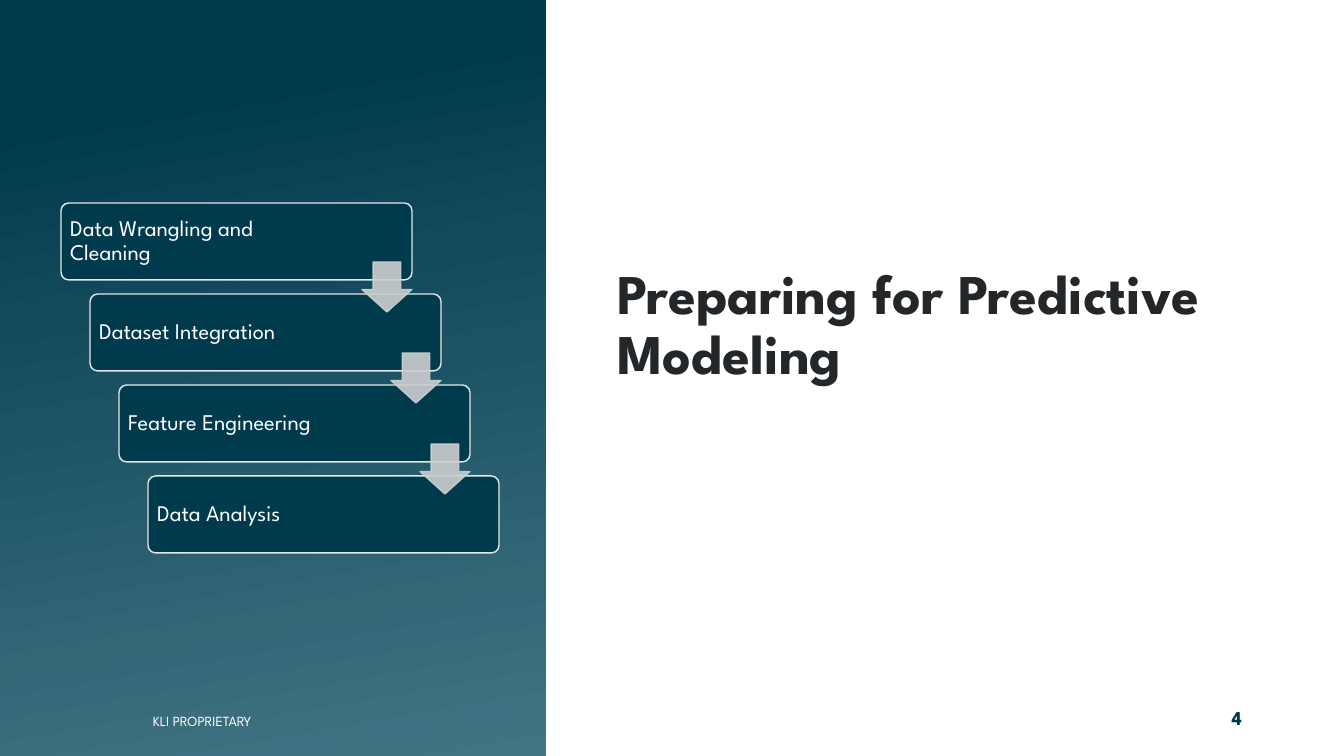
from lxml import etree
from pptx import Presentation
from pptx.dml.color import RGBColor
from pptx.enum.shapes import MSO_SHAPE
from pptx.enum.text import MSO_ANCHOR, MSO_AUTO_SIZE, PP_ALIGN
from pptx.oxml.ns import qn
from pptx.util import Pt

ROUNDED, ARROW, RECT = MSO_SHAPE.ROUNDED_RECTANGLE, MSO_SHAPE.DOWN_ARROW, MSO_SHAPE.RECTANGLE
TOP, MIDDLE, BOTTOM = MSO_ANCHOR.TOP, MSO_ANCHOR.MIDDLE, MSO_ANCHOR.BOTTOM
LEFT, RIGHT = PP_ALIGN.LEFT, PP_ALIGN.RIGHT

PX = 12192000 / 1344  # EMU per px
THEME = {
    "font": "League Spartan",
    "navy": RGBColor.from_string("003B4D"),
    "teal": RGBColor.from_string("427584"),
    "ink": RGBColor.from_string("24272A"),
    "white": RGBColor.from_string("FFFFFF"),
    "outline": RGBColor.from_string("E7E6E6"),
    "arrow": RGBColor.from_string("CCCED0"),
    "title_size": Pt(40),
    "step_size": Pt(16),
    "number_size": Pt(14),
    "footer_size": Pt(10),
}
STEPS = ["Data Wrangling and Cleaning", "Dataset Integration", "Feature Engineering", "Data Analysis"]
STEP_DX, STEP_DY = 29, 91


def px(*lengths):
    return [round(length * PX) for length in lengths]


def write(shape, text, size, color, bold=False, align=LEFT, anchor=TOP, spacing=1.0):
    """Fill the shape with one formatted paragraph."""
    frame = shape.text_frame
    frame.text = text
    paragraph = frame.paragraphs[0]
    frame_format = {"word_wrap": True, "auto_size": MSO_AUTO_SIZE.NONE, "vertical_anchor": anchor}
    paragraph_format = {"alignment": align, "line_spacing": spacing}
    font_format = {"name": THEME["font"], "size": THEME[size], "bold": bold}
    for target, values in ((frame, frame_format), (paragraph, paragraph_format),
                           (paragraph.runs[0].font, font_format)):
        for name, value in values.items():
            setattr(target, name, value)
    paragraph.runs[0].font.color.rgb = THEME[color]


prs = Presentation()
prs.slide_width, prs.slide_height = px(1344, 756)
slide = prs.slides.add_slide(prs.slide_layouts[5])
shapes = slide.shapes

# Gradient panel
panel = shapes.add_shape(RECT, *px(0, 0, 546, 756))
panel.shadow.inherit = False
panel.line.fill.background()
panel.fill.gradient()
panel.fill.gradient_angle = 280
for stop, position, color in zip(panel.fill.gradient_stops, (0.15, 1), ("navy", "teal")):
    stop.position = position
    stop.color.rgb = THEME[color]

# Title, footer and slide number
title = shapes.title
title.left, title.top, title.width, title.height = px(607, 158, 644, 234)
write(title, "Preparing for Predictive Modeling", "title_size", "ink",
      bold=True, anchor=BOTTOM, spacing=0.9)
footer = shapes.add_textbox(*px(143, 708, 131, 27))
write(footer, "KLI PROPRIETARY", "footer_size", "white")
slide_number = shapes.add_textbox(*px(1159, 701, 93, 40))
write(slide_number, "4", "number_size", "navy", bold=True, align=RIGHT)

# Staircase of steps
for i, label in enumerate(STEPS):
    step = shapes.add_shape(ROUNDED, *px(61 + i * STEP_DX, 203 + i * STEP_DY, 351, 77))
    step.adjustments[0] = 0.1
    step.shadow.inherit = False
    step.fill.solid()
    step.fill.fore_color.rgb = THEME["navy"]
    step.line.color.rgb = THEME["outline"]
    step.line.width = Pt(1)
    write(step, label, "step_size", "white", anchor=MIDDLE, spacing=0.9)
    step.text_frame.margin_left, step.text_frame.margin_right = px(7, 93)

# Arrows from each step to the next
for i in range(len(STEPS) - 1):
    arrow = shapes.add_shape(ARROW, *px(362 + i * STEP_DX, 262 + i * STEP_DY, 50, 50))
    arrow.adjustments[0], arrow.adjustments[1] = 0.55, 0.45
    arrow.shadow.inherit = False
    arrow.fill.solid()
    arrow.fill.fore_color.rgb = THEME["arrow"]
    arrow.line.color.rgb = THEME["arrow"]
    arrow.line.width = Pt(1)
    for color in arrow.element.spPr.iter(qn("a:srgbClr")):
        etree.SubElement(color, qn("a:alpha"), val="90000")

prs.save("out.pptx")
